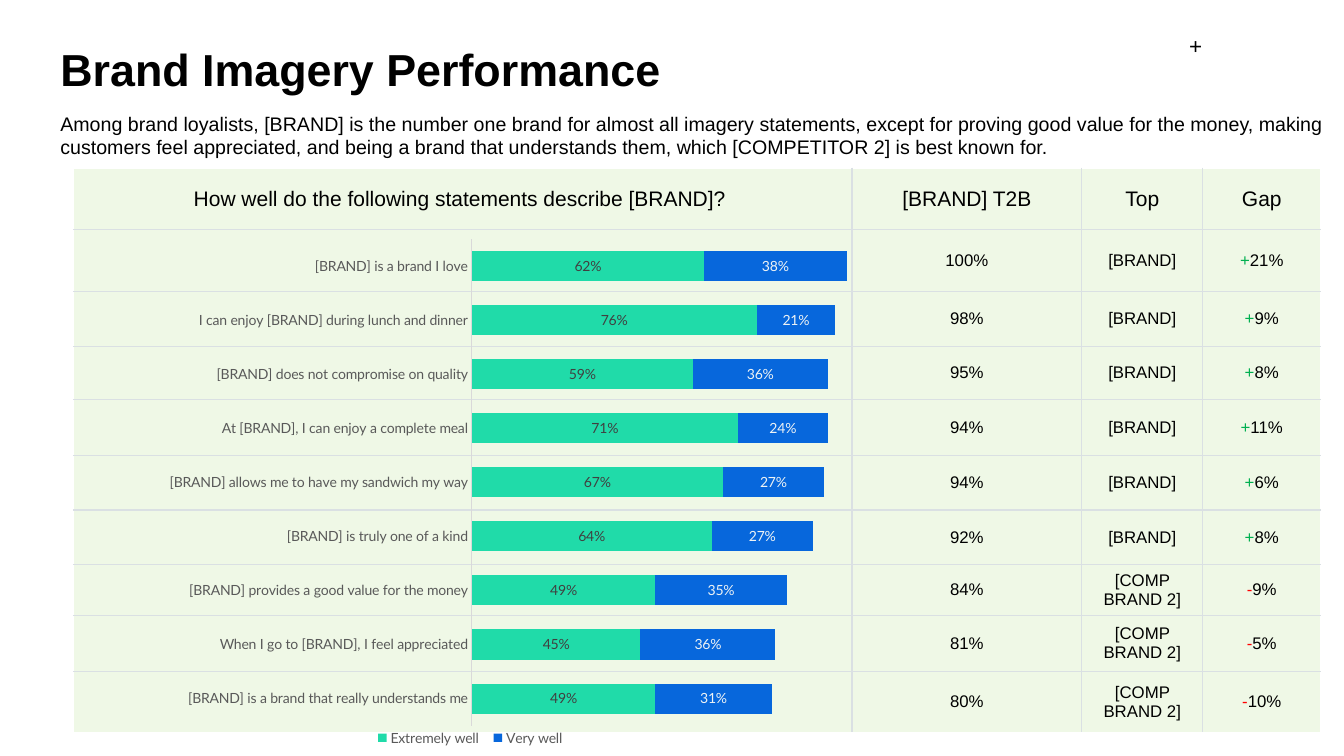
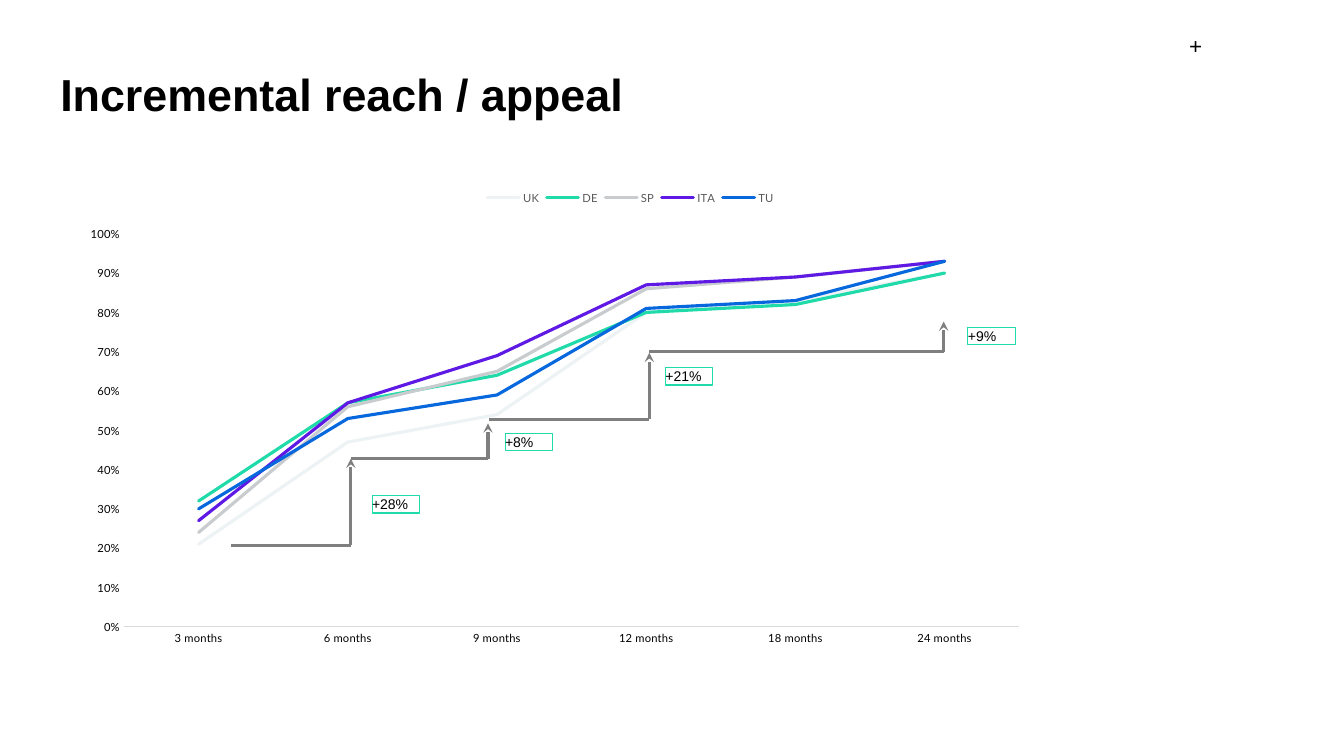
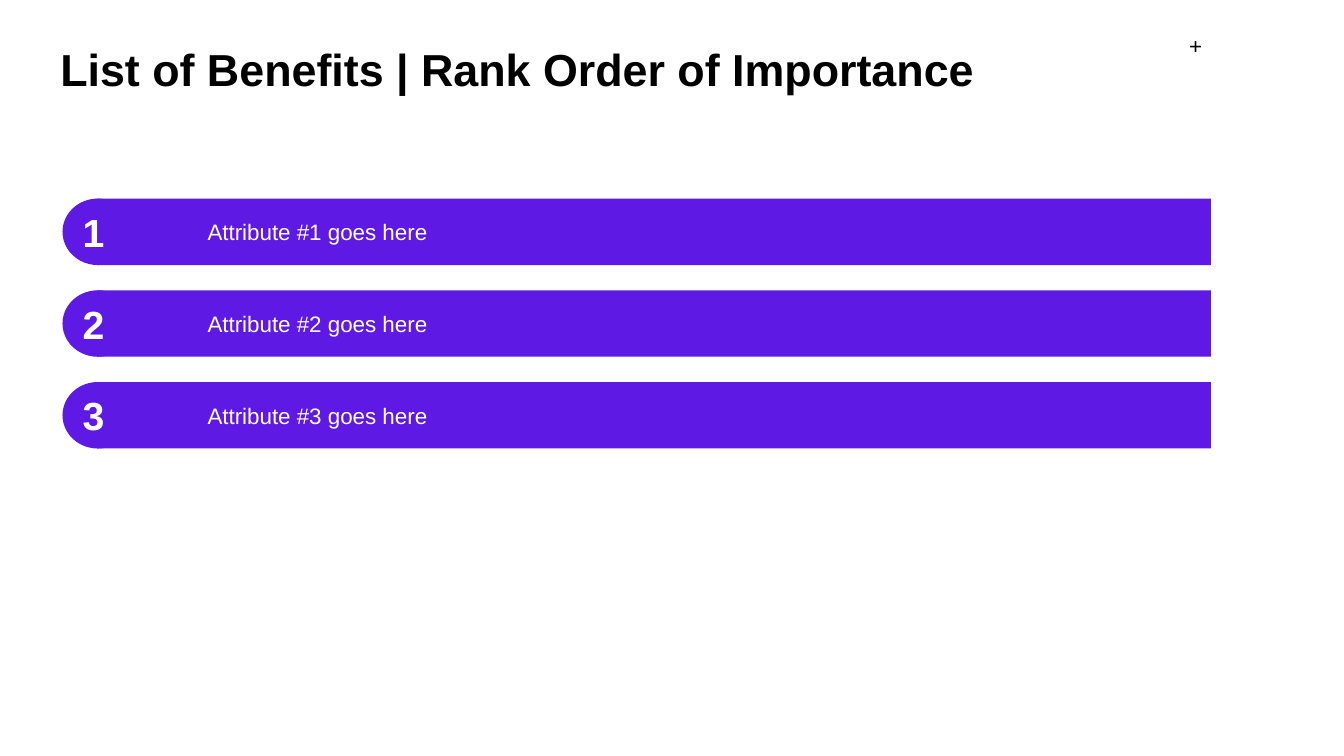
import pptx
import pptx.chart.data
import pptx.dml.color
import pptx.enum.chart
import pptx.enum.shapes
import pptx.enum.text
import pptx.oxml
import pptx.oxml.ns
import pptx.util

Inches, Pt = pptx.util.Inches, pptx.util.Pt
qn = pptx.oxml.ns.qn
ANCHOR = pptx.enum.text.MSO_ANCHOR
ALIGN = pptx.enum.text.PP_ALIGN
SHAPE = pptx.enum.shapes.MSO_SHAPE
XL = pptx.enum.chart

# Shared style
BLACK, WHITE = "000000", "FFFFFF"
GREEN, BLUE, PURPLE = "20DBA9", "0767DC", "5F19E4"
PALE, RULE, AXIS = "EFF8E6", "DAE0E3", "D9D9D9"
GREY, LEGEND = "7F7F7F", "595959"
TEXT_FONT, CHART_FONT = "Arial", "Lato"
INSETS = (0.1, 0.05, 0.1, 0.05)


def rgb(color):
    return pptx.dml.color.RGBColor.from_string(color)


def style_font(font, size, color=BLACK, name=TEXT_FONT, bold=False):
    font.size, font.name, font.bold = Pt(size), name, bold
    font.color.rgb = rgb(color)


def child(parent, tag, **attrs):
    el = parent.makeelement(qn(tag), attrs)
    parent.append(el)
    return el


# Text and shapes
def set_text(sp, text, size, color=BLACK, bold=False, anchor=ANCHOR.TOP,
             align=ALIGN.LEFT, insets=INSETS):
    tf = sp.text_frame
    tf.word_wrap = True
    tf.vertical_anchor = anchor
    tf.margin_left, tf.margin_top, tf.margin_right, tf.margin_bottom = map(Inches, insets)
    tf.text = text
    p = tf.paragraphs[0]
    p.alignment = align
    style_font(p.runs[0].font, size, color, bold=bold)
    return p


def add_text(s, box, text, size, **style):
    return set_text(s.shapes.add_textbox(*map(Inches, box)), text, size, **style)


def add_box(s, kind, box, fill=None, line=None):
    sp = s.shapes.add_shape(kind, *map(Inches, box))
    sp.shadow.inherit = False
    if fill:
        sp.fill.solid()
        sp.fill.fore_color.rgb = rgb(fill)
    else:
        sp.fill.background()
    if line:
        sp.line.color.rgb = rgb(line)
        sp.line.width = Pt(0.75)
    else:
        sp.line.fill.background()
    return sp


def add_line(s, x1, y1, x2, y2, arrow=False):
    ln = s.shapes.add_connector(pptx.enum.shapes.MSO_CONNECTOR.STRAIGHT,
                                *map(Inches, (x1, y1, x2, y2)))
    ln.line.color.rgb = rgb(GREY)
    ln.line.width = Pt(2.25)
    if arrow:
        child(ln.line._get_or_add_ln(), "a:tailEnd", type="stealth")
    child(ln._element.spPr, "a:effectLst")


def new_slide(prs, title, anchor=ANCHOR.MIDDLE):
    s = prs.slides.add_slide(prs.slide_layouts[6])
    add_text(s, (11.68, 0.27, 0.36, 0.37), "+", 16, anchor=ANCHOR.MIDDLE, align=ALIGN.CENTER)
    p = add_text(s, (0.5, 0.17, 11.5, 1.08), title, 32, bold=True, anchor=anchor)
    p.line_spacing = 0.9
    return s


# Table
def style_cell(cell, borders, parts, size, v_inset):
    tc_pr = cell._tc.get_or_add_tcPr()
    for side, color in zip("LRTB", borders):
        ln = child(tc_pr, "a:ln" + side, w=str(Pt(1)))
        child(child(ln, "a:solidFill"), "a:srgbClr", val=color)
    cell.fill.solid()
    cell.fill.fore_color.rgb = rgb(PALE)
    cell.vertical_anchor = ANCHOR.MIDDLE
    cell.margin_top = cell.margin_bottom = Inches(v_inset)
    p = cell.text_frame.paragraphs[0]
    p.alignment = ALIGN.CENTER
    for text, color in parts:
        r = p.add_run()
        r.text = text
        style_font(r.font, size, color)


def add_score_table(s, left, top, widths, heights, header, rows):
    frame = s.shapes.add_table(len(heights), len(widths), Inches(left), Inches(top),
                               Inches(sum(widths)), Inches(sum(heights)))
    table = frame.table
    table.first_row = table.horz_banding = False
    for col, width in zip(table.columns, widths):
        col.width = Inches(width)
    for row, height in zip(table.rows, heights):
        row.height = Inches(height)
    last_row, last_col = len(heights) - 1, len(widths) - 1
    for i, values in enumerate([header] + rows):
        for j, value in enumerate(values):
            edges = (j == 0, j == last_col, i == 0, i == last_row)
            borders = [WHITE if edge else RULE for edge in edges]
            parts = [(value, BLACK)] if value else []
            if i and j == last_col:
                sign_color = "00B050" if value[0] == "+" else "FF0000"
                parts = [(value[0], sign_color), (value[1:], BLACK)]
            style_cell(table.cell(i, j), borders, parts, 12 if i else 15,
                       0.05 if i and j != 2 else 0)


# Charts
def set_layout(parent, box, frame, index, inner=False):
    """Place a chart part; box and frame are in inches."""
    for old in parent.findall(qn("c:layout")):
        parent.remove(old)
    layout = child(parent, "c:layout")
    parent.insert(index, layout)
    manual = child(layout, "c:manualLayout")
    settings = [("layoutTarget", "inner")] if inner else []
    settings += [("xMode", "edge"), ("yMode", "edge")]
    sizes = frame[2:] * 2
    settings += [(tag, str(part / whole)) for tag, part, whole in zip("xywh", box, sizes)]
    for tag, value in settings:
        child(manual, "c:" + tag, val=value)


def add_chart(s, kind, box, cats, series, plot_box, legend_pos, size):
    data = pptx.chart.data.CategoryChartData(number_format="0%")
    data.categories = cats
    for name, _, values in series:
        data.add_series(name, values)
    chart = s.shapes.add_chart(kind, *map(Inches, box), data).chart
    chart.has_title = False
    style_font(chart.font, size, name=CHART_FONT)
    chart.has_legend = True
    chart.legend.position = legend_pos
    chart.legend.include_in_layout = False
    style_font(chart.legend.font, size, LEGEND, CHART_FONT)

    cat, val = chart.category_axis, chart.value_axis
    cat.format.line.color.rgb = rgb(AXIS)
    cat.format.line.width = Pt(0.75)
    val.has_major_gridlines = False
    val.minimum_scale = 0
    val.format.line.fill.background()
    for axis in (cat, val):
        axis.major_tick_mark = axis.minor_tick_mark = XL.XL_TICK_MARK.NONE

    # Transparent background and fixed inner plot area
    space = chart._chartSpace
    plot_area = space.chart.plotArea
    back = child(space, "c:spPr")
    child(back, "a:noFill")
    child(child(back, "a:ln"), "a:noFill")
    space.chart.addnext(back)
    child(child(plot_area, "c:spPr"), "a:noFill")
    set_layout(plot_area, plot_box, box, 0, inner=True)
    return chart


# Slides
def imagery_slide(prs):
    s = new_slide(prs, "Brand Imagery Performance")
    add_text(s, (0.5, 1.06, 12.74, 0.57),
             "Among brand loyalists, [BRAND] is the number one brand for almost all imagery "
             "statements, except for proving good value for the money, making customers feel "
             "appreciated, and being a brand that understands them, which [COMPETITOR 2] is "
             "best known for.", 14)
    own, rival = "[BRAND]", "[COMP BRAND 2]"
    scores = [("100%", own, "+21%"), ("98%", own, "+9%"), ("95%", own, "+8%"),
              ("94%", own, "+11%"), ("94%", own, "+6%"), ("92%", own, "+8%"),
              ("84%", rival, "-9%"), ("81%", rival, "-5%"), ("80%", rival, "-10%")]
    add_score_table(
        s, 0.73, 1.67, [7.72, 2.28, 1.2, 1.17],
        [0.61, 0.61, 0.55, 0.52, 0.56, 0.54, 0.54, 0.51, 0.55, 0.61],
        ("How well do the following statements describe [BRAND]? ", "[BRAND] T2B", "Top", "Gap"),
        [("",) + score for score in scores])

    statements = [
        ("[BRAND] is a brand that really understands me", 0.49, 0.31),
        ("When I go to [BRAND], I feel appreciated", 0.45, 0.36),
        ("[BRAND] provides a good value for the money", 0.49, 0.35),
        ("[BRAND] is truly one of a kind", 0.64, 0.27),
        ("[BRAND] allows me to have my sandwich my way", 0.67, 0.27),
        ("At [BRAND], I can enjoy a complete meal", 0.71, 0.24),
        ("[BRAND] does not compromise on quality", 0.59, 0.36),
        ("I can enjoy [BRAND] during lunch and dinner", 0.76, 0.21),
        ("[BRAND] is a brand I love", 0.62, 0.38)]
    cats, extremely, very = zip(*statements)
    series = [("Extremely well", GREEN, extremely), ("Very well", BLUE, very)]
    box = (0.04, 1.77, 9.25, 5.93)
    chart = add_chart(s, XL.XL_CHART_TYPE.BAR_STACKED, box, cats, series,
                      (4.64, 0.6, 4.46, 4.83), XL.XL_LEGEND_POSITION.BOTTOM, 10)
    set_layout(chart.legend._element, (3.61, 5.41, 2.03, 0.28), box, 1)
    style_font(chart.category_axis.tick_labels.font, 10, LEGEND, CHART_FONT)
    chart.value_axis.maximum_scale = 1.2
    chart.value_axis.visible = False
    plot = chart.plots[0]
    plot.gap_width, plot.overlap, plot.vary_by_categories = 80, 100, False
    for ser, (_, color, _), label_color in zip(plot.series, series, ("404040", "EEF3F5")):
        ser.format.fill.solid()
        ser.format.fill.fore_color.rgb = rgb(color)
        labels = ser.data_labels
        labels.show_value = True
        labels.number_format, labels.number_format_is_linked = "0%", False
        labels.position = XL.XL_LABEL_POSITION.CENTER
        style_font(labels.font, 10, label_color, CHART_FONT)


def reach_slide(prs):
    s = new_slide(prs, "Incremental reach / appeal", ANCHOR.BOTTOM)
    cats = [f"{n} months" for n in (3, 6, 9, 12, 18, 24)]
    series = [("UK", "EDF2F4", (0.21, 0.47, 0.54, 0.8, 0.83, 0.9)),
              ("DE", GREEN, (0.32, 0.57, 0.64, 0.8, 0.82, 0.9)),
              ("SP", "C8CCCE", (0.24, 0.56, 0.65, 0.86, 0.89, 0.93)),
              ("ITA", PURPLE, (0.27, 0.57, 0.69, 0.87, 0.89, 0.93)),
              ("TU", BLUE, (0.3, 0.53, 0.59, 0.81, 0.83, 0.93))]
    chart = add_chart(s, XL.XL_CHART_TYPE.LINE, (0.35, 1.78, 11.81, 5.03), cats, series,
                      (0.88, 0.54, 8.88, 3.9), XL.XL_LEGEND_POSITION.TOP, 8)
    val = chart.value_axis
    val.maximum_scale, val.major_unit = 1, 0.1
    val.tick_labels.number_format, val.tick_labels.number_format_is_linked = "0%", False
    for axis in (chart.category_axis, val):
        style_font(axis.tick_labels.font, 8, name=CHART_FONT)
    chart.plots[0].vary_by_categories = False
    for ser, (_, color, _) in zip(chart.plots[0].series, series):
        ser.smooth = False
        ser.marker.style = XL.XL_MARKER_STYLE.NONE
        ser.format.line.color.rgb = rgb(color)
        ser.format.line.width = Pt(2.25)
        ser.format.line._get_or_add_ln().set("cap", "rnd")

    # Steps: start x, riser x, base y, arrow tip y, label and its place
    steps = [(2.29, 3.48, 5.41, 4.55, "+28%", 3.69, 4.92),
             (3.48, 4.84, 4.55, 4.2, "+8%", 5.01, 4.3),
             (4.85, 6.44, 4.16, 3.5, "+21%", 6.6, 3.65),
             (6.44, 9.36, 3.49, 3.19, "+9%", 9.6, 3.25)]
    for start, riser, base, tip, gain, x, y in steps:
        add_line(s, start, base, riser, base)
        add_line(s, riser, base, riser, tip, arrow=True)
        sp = add_box(s, SHAPE.RECTANGLE, (x, y, 0.47, 0.17), line=GREEN)
        set_text(sp, gain, 10, insets=(0, 0, 0, 0))


def benefits_slide(prs):
    s = new_slide(prs, "List of Benefits | Rank Order of Importance")
    for rank in range(1, 4):
        top = 1.97 + 0.91 * (rank - 1)
        bar = add_box(s, SHAPE.RECTANGLE, (0.96, top, 11.05, 0.66), PURPLE)
        p = set_text(bar, f"\tAttribute #{rank} goes here", 16, WHITE, anchor=ANCHOR.MIDDLE)
        tabs = child(p._p.get_or_add_pPr(), "a:tabLst")
        child(tabs, "a:tab", pos=str(Inches(1)), algn="l")
        cap = add_box(s, SHAPE.OVAL, (0.62, top, 0.7, 0.66), PURPLE)
        set_text(cap, str(rank), 28, WHITE, bold=True, anchor=ANCHOR.MIDDLE)


def main():
    prs = pptx.Presentation()
    prs.slide_width, prs.slide_height = Inches(13.33), Inches(7.5)
    imagery_slide(prs)
    reach_slide(prs)
    benefits_slide(prs)
    prs.save("out.pptx")


if __name__ == "__main__":
    main()
